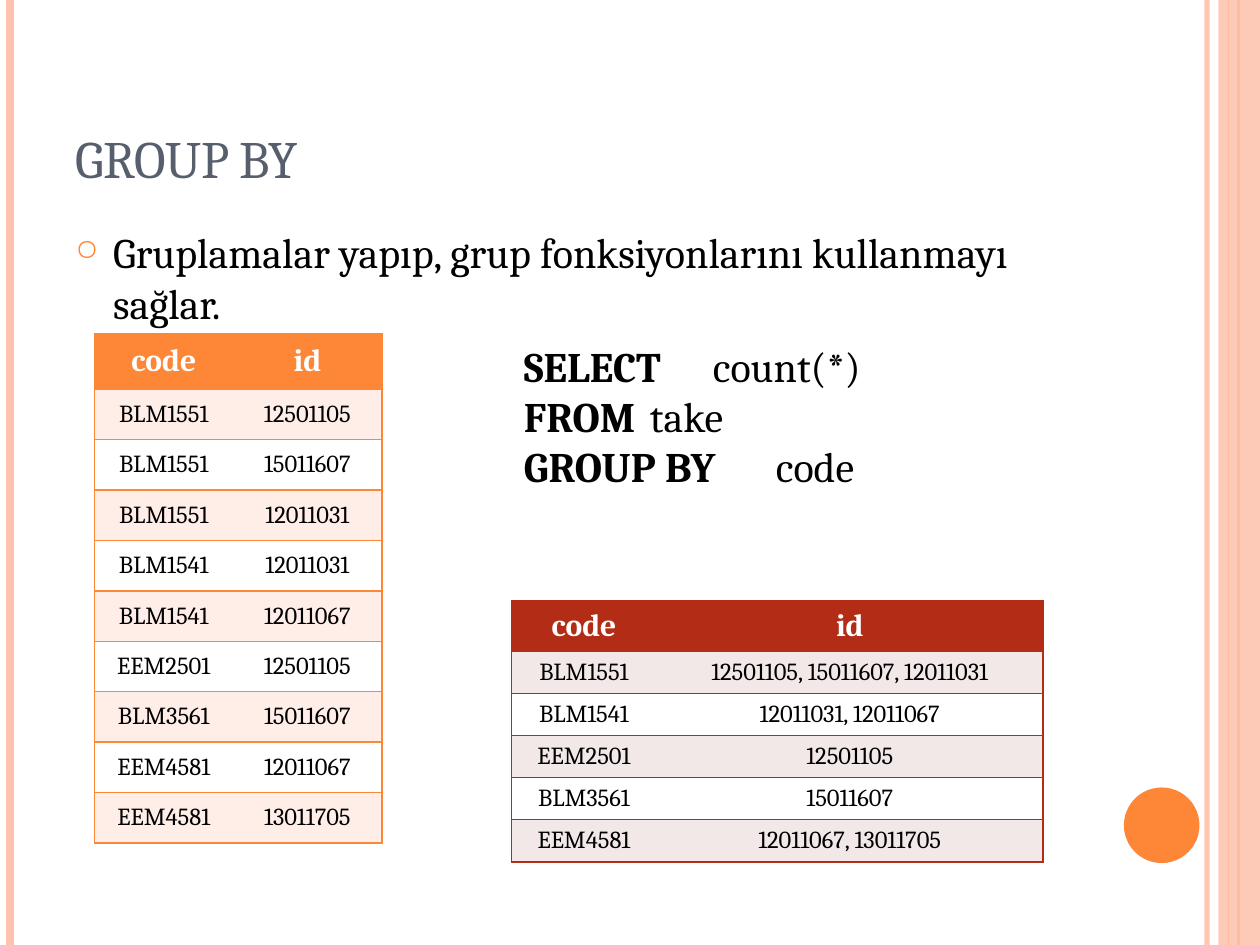
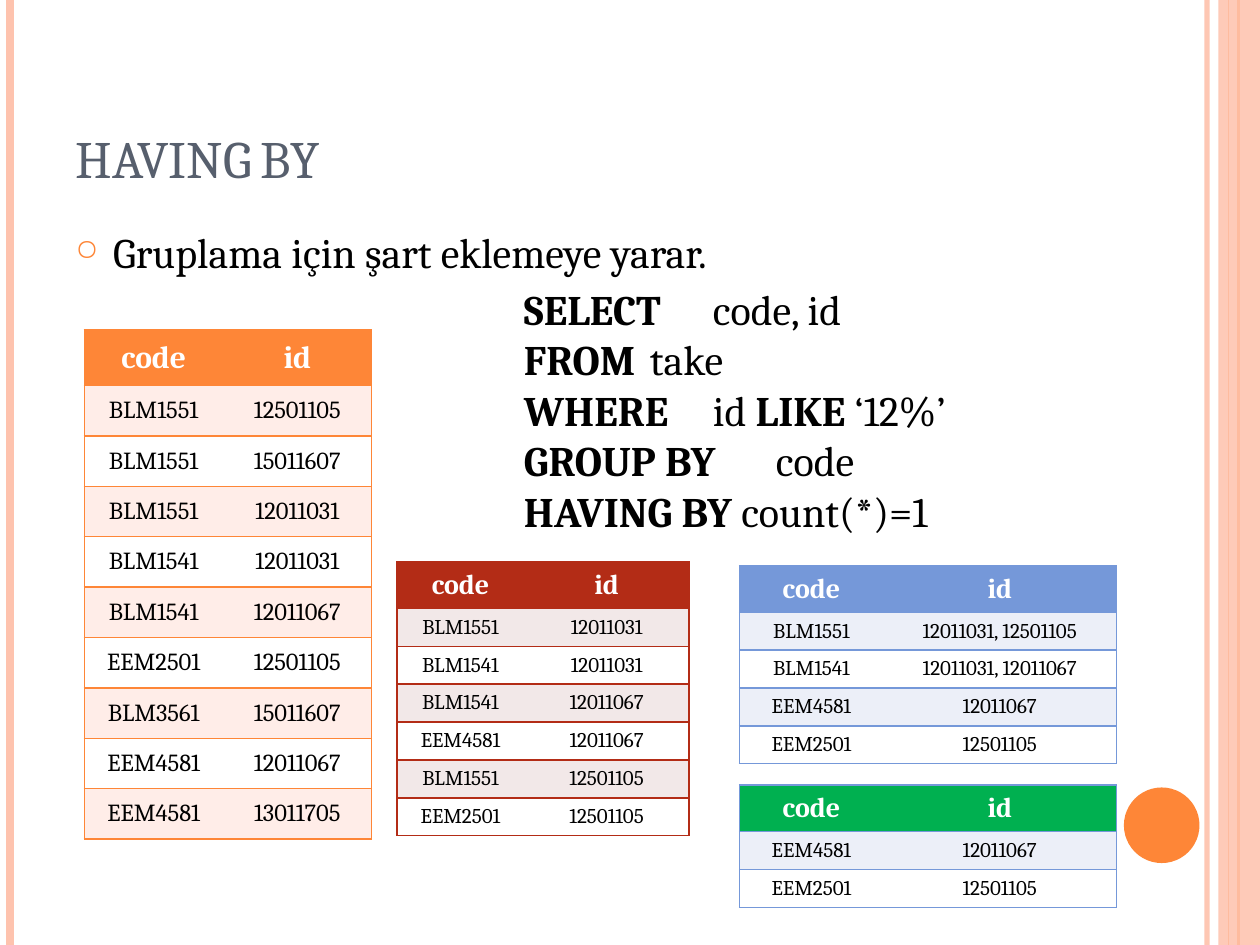
from dataclasses import dataclass

from lxml import etree
from pptx import Presentation
from pptx.dml.color import RGBColor
from pptx.enum import shapes, text
from pptx.oxml import ns
from pptx.util import Inches, Pt

FONT = "Cambria"
ORANGE, PEACH, RED, BLUE, GREEN = "FE8637", "FEC3AE", "B32C16", "7598D9", "00B050"
BLACK, WHITE, SLATE = "000000", "FFFFFF", "575F6D"
PALE_ORANGE, PALE_RED, PALE_BLUE = "FFEDE8", "F2E8E8", "ECEFF8"


@dataclass
class Stripe:
    x: float
    color: str
    width: float
    opacity: int = 100


@dataclass
class Palette:
    header: str
    band: str
    border: str


@dataclass
class Grid:
    left: float
    top: float
    columns: tuple[float, float]
    header_height: float
    row_height: float
    header_size: int
    palette: Palette
    rows: list[tuple[str, str]]


@dataclass
class Lesson:
    title: str
    bullet: str
    query_top: float
    query_size: tuple[float, float]
    query: list[tuple[str, ...]]  # spans alternate bold, regular, bold ...
    grids: list[Grid]


STRIPES = [
    Stripe(9.58, PEACH, 3, 93),
    Stripe(0.08, PEACH, 4.5),
    Stripe(9.83, ORANGE, 1.5),
    Stripe(9.75, ORANGE, 0.75),
]
SOURCE = Palette(ORANGE, PALE_ORANGE, ORANGE)
FILTERED = Palette(RED, PALE_RED, RED)
GROUPED = Palette(BLUE, PALE_BLUE, BLUE)
RESULT = Palette(GREEN, PALE_BLUE, BLUE)

TAKE = [
    ("BLM1551", "12501105"), ("BLM1551", "15011607"), ("BLM1551", "12011031"),
    ("BLM1541", "12011031"), ("BLM1541", "12011067"), ("EEM2501", "12501105"),
    ("BLM3561", "15011607"), ("EEM4581", "12011067"), ("EEM4581", "13011705"),
]
TAKE_BY_CODE = [
    ("BLM1551", "12501105, 15011607, 12011031"), ("BLM1541", "12011031, 12011067"),
    ("EEM2501", "12501105"), ("BLM3561", "15011607"),
    ("EEM4581", "12011067, 13011705"),
]
LIKE_12 = [
    ("BLM1551", "12011031"), ("BLM1541", "12011031"), ("BLM1541", "12011067"),
    ("EEM4581", "12011067"), ("BLM1551", "12501105"), ("EEM2501", "12501105"),
]
SINGLES = [("EEM4581", "12011067"), ("EEM2501", "12501105")]
LIKE_12_BY_CODE = [
    ("BLM1551", "12011031, 12501105"), ("BLM1541", "12011031, 12011067"), *SINGLES,
]


def take_grid(left: float, top: float) -> Grid:
    return Grid(left, top, (1.1, 1.18), 0.44, 0.4, 18, SOURCE, TAKE)


def small_grid(left: float, top: float, columns: tuple[float, float],
               palette: Palette, rows: list[tuple[str, str]]) -> Grid:
    return Grid(left, top, columns, 0.37, 0.3, 16, palette, rows)


LESSONS = [
    Lesson(
        "GROUP BY", "Gruplamalar yapıp, grup fonksiyonlarını kullanmayı sağlar.",
        2.65, (5.04, 1.31),
        [("SELECT\t", "count(*)"), ("FROM\t", "take"), ("GROUP BY\t", "code")],
        [take_grid(0.75, 2.65),
         Grid(4.06, 4.77, (1.15, 3.07), 0.4, 0.33, 18, FILTERED, TAKE_BY_CODE)],
    ),
    Lesson(
        "HAVING BY", "Gruplama için şart eklemeye yarar.",
        2.2, (4.61, 2.12),
        [("SELECT\t", "code, id"), ("FROM\t", "take"),
         ("WHERE\t", "id ", "LIKE", " ‘12%’"), ("GROUP BY\t", "code"),
         ("HAVING BY ", "count(*)=1")],
        [take_grid(0.67, 2.62),
         small_grid(3.15, 4.46, (1.01, 1.31), FILTERED, LIKE_12),
         small_grid(5.87, 4.49, (1.14, 1.85), GROUPED, LIKE_12_BY_CODE),
         small_grid(5.87, 6.23, (1.14, 1.85), RESULT, SINGLES)],
    ),
]


def rgb(color: str) -> RGBColor:
    return RGBColor.from_string(color)


def child(parent, tag: str, **attributes: str):
    return etree.SubElement(parent, ns.qn(tag), attributes)


def paint(fill, color: str, opacity: int = 100) -> None:
    fill.solid()
    fill.fore_color.rgb = rgb(color)
    if opacity < 100:
        srgb = fill._xPr.find(".//" + ns.qn("a:srgbClr"))
        child(srgb, "a:alpha", val=str(opacity * 1000))


def style(para, size: int, color: str, bold: bool | None = None) -> None:
    font = para.font
    font.name, font.size, font.bold = FONT, Pt(size), bold
    font.color.rgb = rgb(color)


# Bands and disc shared by every slide
def draw_frame(page) -> None:
    for stripe in STRIPES:
        x = Inches(stripe.x)
        line = page.shapes.add_connector(shapes.MSO_CONNECTOR.STRAIGHT, x, 0, x, Inches(7.5))
        line.line.width = Pt(stripe.width)
        paint(line.line.fill, stripe.color, stripe.opacity)
        child(line._element.spPr, "a:effectLst")
    parts = [
        (shapes.MSO_SHAPE.RECTANGLE, (9.67, 0, 0.33, 7.5), PEACH, 87),
        (shapes.MSO_SHAPE.OVAL, (8.92, 6.25, 0.6, 0.6), ORANGE, 100),
    ]
    for kind, bounds, color, opacity in parts:
        shape = page.shapes.add_shape(kind, *map(Inches, bounds))
        shape.shadow.inherit = False
        shape.line.fill.background()
        paint(shape.fill, color, opacity)


def draw_title(page, words: str) -> None:
    title = page.shapes.title
    title.left, title.top, title.width, title.height = map(Inches, (0.5, 0.3, 8.17, 1.25))
    frame = title.text_frame
    frame.text = words
    frame.auto_size = text.MSO_AUTO_SIZE.NONE
    frame.vertical_anchor = text.MSO_ANCHOR.BOTTOM
    para = frame.paragraphs[0]
    para.alignment = text.PP_ALIGN.LEFT
    style(para, 30, SLATE)
    para.runs[0]._r.get_or_add_rPr().set("cap", "small")


def add_text_frame(page, left: float, top: float, width: float, height: float):
    box = page.shapes.add_textbox(*map(Inches, (left, top, width, height)))
    box.text_frame.word_wrap = True
    return box.text_frame


def draw_bullet(page, words: str) -> None:
    para = add_text_frame(page, 0.5, 1.75, 8.17, 0.9).paragraphs[0]
    para.text = words
    para.space_before = Pt(6)
    props = para._p.get_or_add_pPr()
    props.set("marL", str(Inches(0.3)))
    props.set("indent", str(-Inches(0.3)))
    child(child(props, "a:buClr"), "a:srgbClr", val=ORANGE)
    child(props, "a:buSzPct", val="70000")
    child(props, "a:buChar", char="○")
    style(para, 24, BLACK)


def draw_query(page, lesson: Lesson) -> None:
    frame = add_text_frame(page, 4.06, lesson.query_top, *lesson.query_size)
    for number, spans in enumerate(lesson.query):
        para = frame.add_paragraph() if number else frame.paragraphs[0]
        style(para, 24, BLACK)
        for position, words in enumerate(spans):
            span = para.add_run()
            span.text = words
            span.font.bold = position % 2 == 0


# Tables: outer and horizontal rules only
def set_borders(cell, column: int, color: str) -> None:
    props = cell._tc.get_or_add_tcPr()
    visible = {"L": column == 0, "R": column == 1, "T": True, "B": True}
    for side, shown in visible.items():
        edge = child(props, f"a:ln{side}", w=str(Pt(1)))
        if shown:
            child(child(edge, "a:solidFill"), "a:srgbClr", val=color)
        else:
            child(edge, "a:noFill")


def draw_grid(page, grid: Grid) -> None:
    rows = [("code", "id"), *grid.rows]
    height = grid.header_height + grid.row_height * len(grid.rows)
    bounds = map(Inches, (grid.left, grid.top, sum(grid.columns), height))
    table = page.shapes.add_table(len(rows), 2, *bounds).table
    for column, width in zip(table.columns, grid.columns):
        column.width = Inches(width)
    for r, values in enumerate(rows):
        header = r == 0
        table.rows[r].height = Inches(grid.header_height if header else grid.row_height)
        fill = grid.palette.header if header else grid.palette.band if r % 2 else WHITE
        for c, value in enumerate(values):
            cell = table.cell(r, c)
            cell.text = value
            cell.vertical_anchor = text.MSO_ANCHOR.MIDDLE
            set_borders(cell, c, grid.palette.border)
            paint(cell.fill, fill)
            para = cell.text_frame.paragraphs[0]
            para.alignment = text.PP_ALIGN.CENTER
            size = grid.header_size if header else grid.header_size - 4
            style(para, size, WHITE if header else BLACK, header)


def main() -> None:
    deck = Presentation()
    deck.slide_width, deck.slide_height = Inches(10), Inches(7.5)
    title_only = deck.slide_layouts[5]
    for lesson in LESSONS:
        page = deck.slides.add_slide(title_only)
        paint(page.background.fill, WHITE)
        draw_frame(page)
        draw_title(page, lesson.title)
        draw_bullet(page, lesson.bullet)
        draw_query(page, lesson)
        for grid in lesson.grids:
            draw_grid(page, grid)
    deck.save("out.pptx")


if __name__ == "__main__":
    main()
